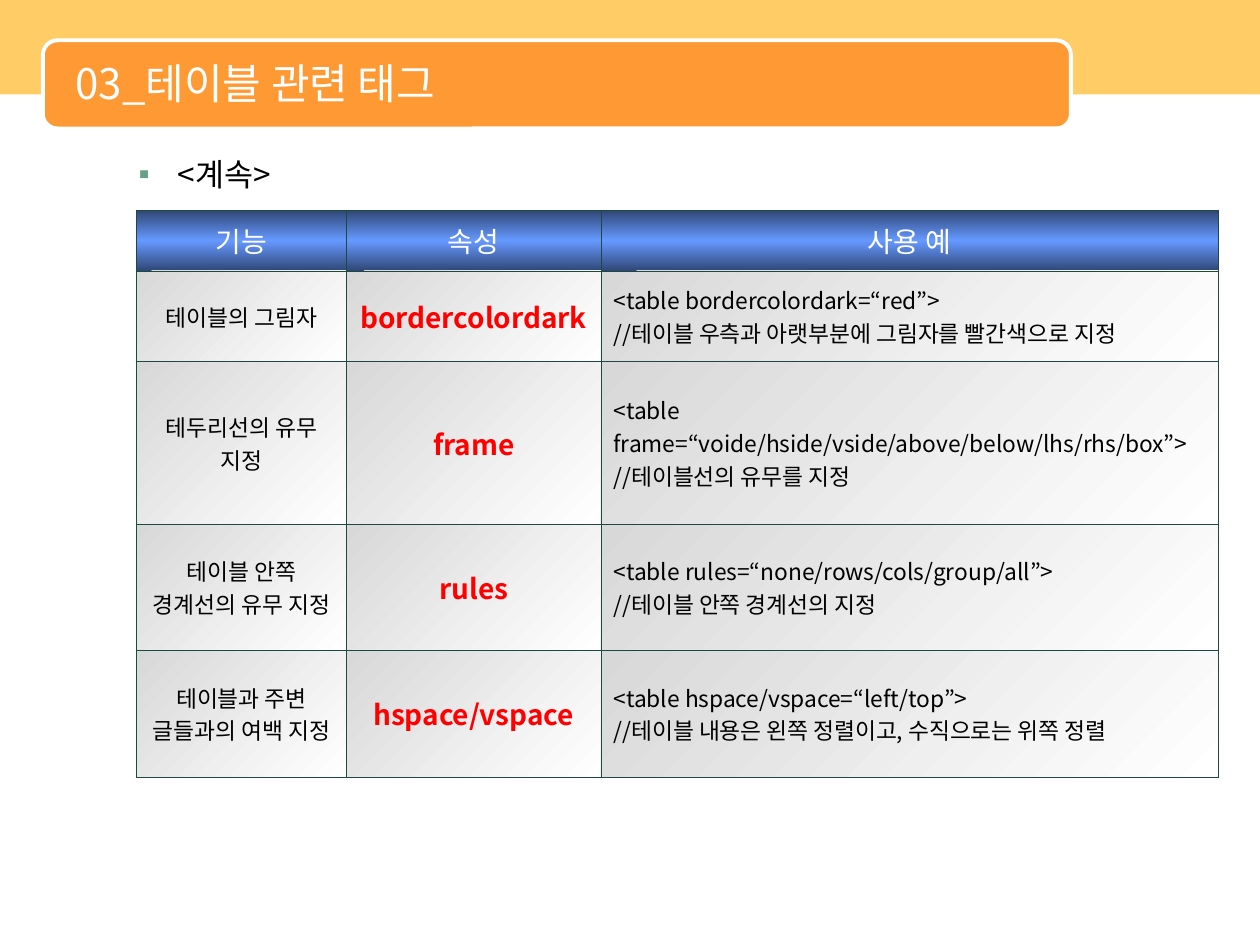
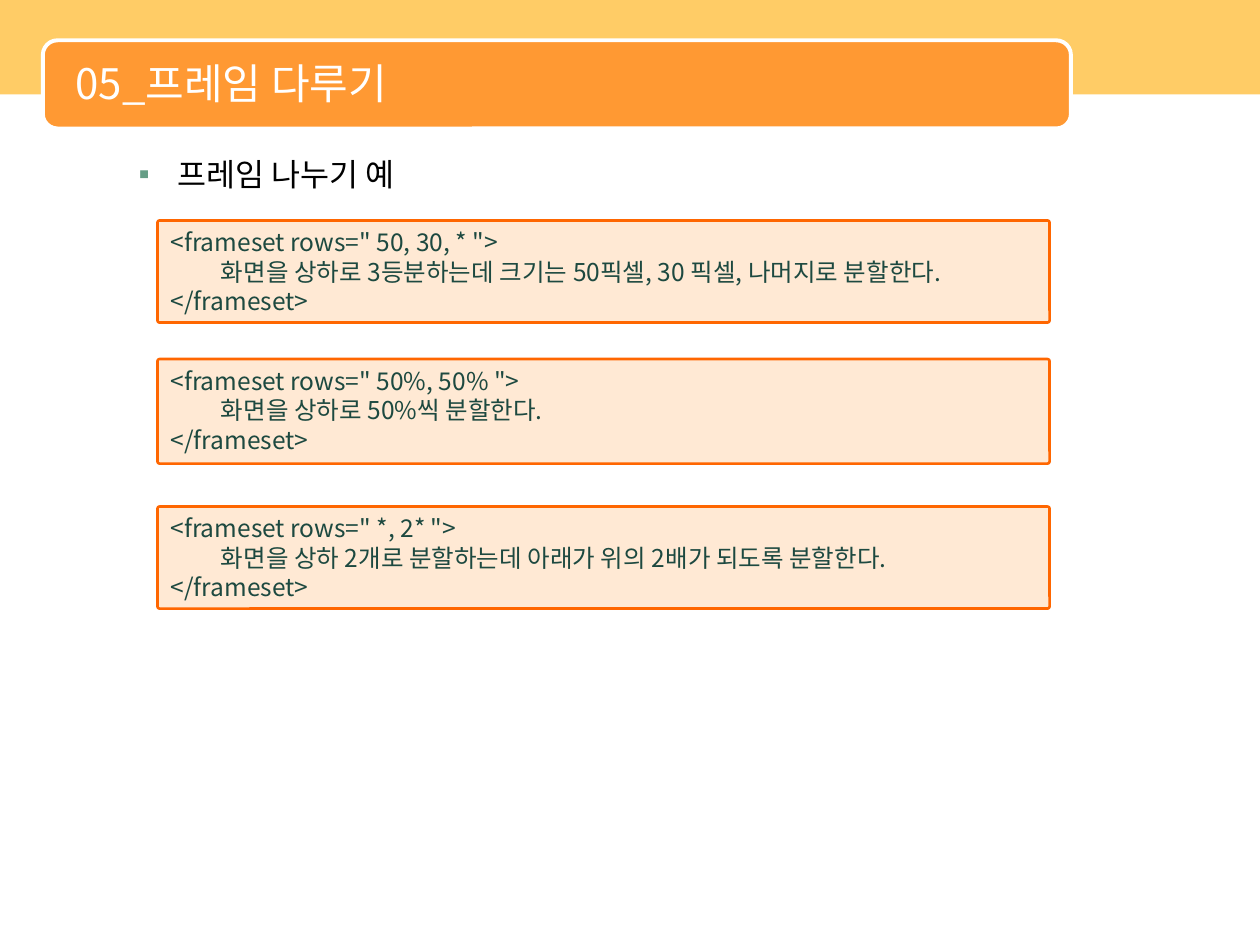
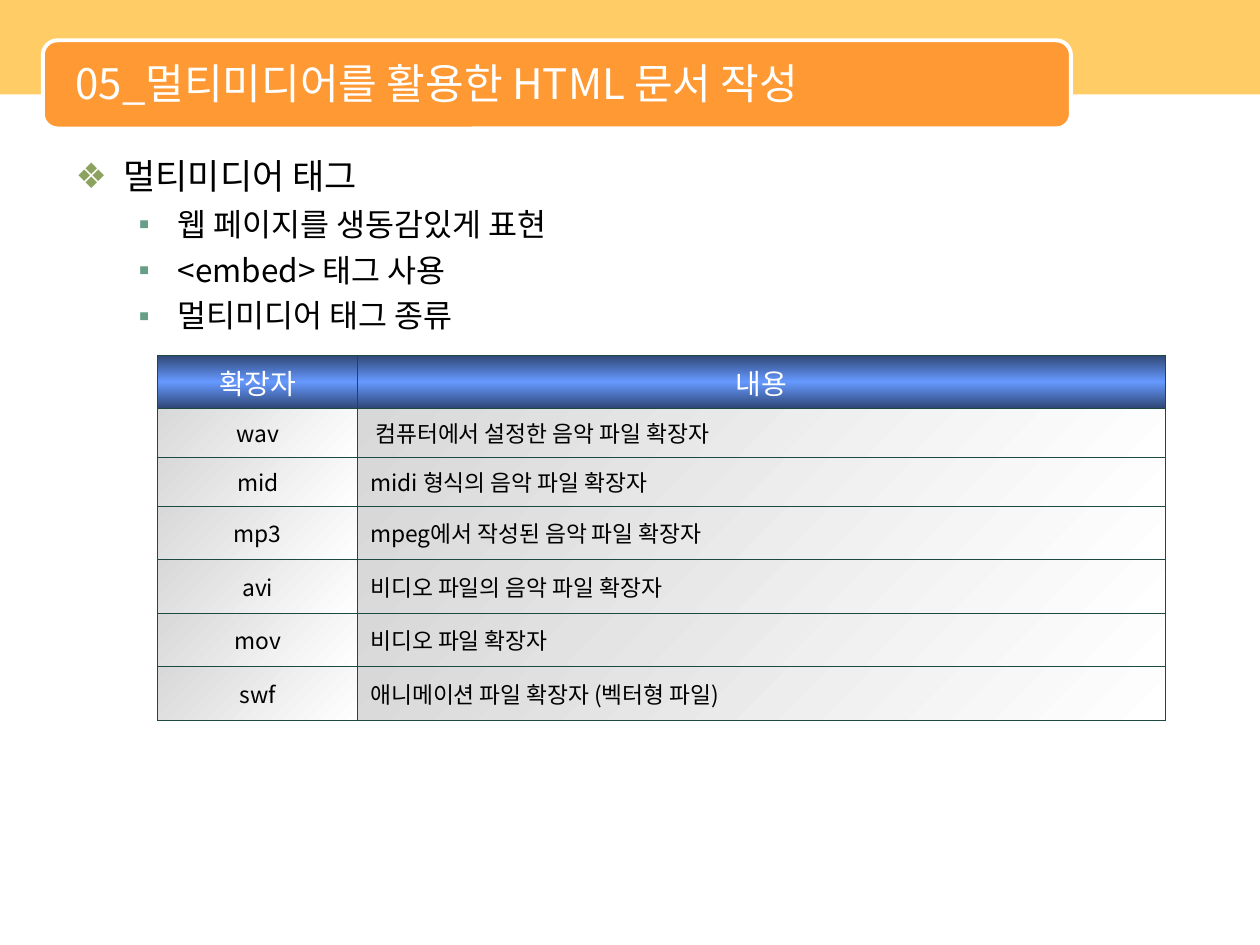
from pptx import Presentation
from pptx.dml.color import RGBColor
from pptx.enum.shapes import MSO_SHAPE
from pptx.enum.text import MSO_ANCHOR, MSO_AUTO_SIZE, PP_ALIGN
from pptx.oxml import parse_xml
from pptx.oxml.ns import nsdecls
from pptx.util import Inches, Pt

FONT = "Noto Sans CJK KR"
HUES = {
    "band": "FFCC66", "plate": "FF9933", "white": "FFFFFF", "black": "000000",
    "red": "FF0000", "ink": "1D4940", "gem": "8CA35F", "dot": "669E86",
    "navy": "2F4776", "blue": "6699FF", "gray": "D8D8D8",
    "peach": "FFCC99", "rim": "FF6600",
}
HEAD = [(0, "navy"), (50, "blue"), (100, "navy")]
BODY = [(0, "gray"), (100, "white")]
LEVELS = [(0.38, -0.38, "gem", "❖", 20, 5), (0.81, -0.31, "dot", "▪", 18, 4.5)]


def style(para, size, hue, bold=False):
    for run in para.runs:
        run.font.size = Pt(size)
        run.font.name = FONT
        run.font.bold = bold
        run.font.color.rgb = RGBColor.from_string(HUES[hue])


def grid(slide, left, top, cols, rows, data, red=None):
    frame = slide.shapes.add_table(
        len(rows), len(cols), Inches(left), Inches(top),
        Inches(sum(cols)), Inches(sum(rows)))
    table = frame.table
    for col, width in zip(table.columns, cols):
        col.width = Inches(width)
    for row, height in zip(table.rows, rows):
        row.height = Inches(height)
    for y, line in enumerate(data):
        for x, text in enumerate(line):
            cell = table.cell(y, x)
            cell.vertical_anchor = MSO_ANCHOR.MIDDLE
            para = cell.text_frame.paragraphs[0]
            para.text = text
            last = x == len(cols) - 1
            para.alignment = PP_ALIGN.LEFT if y and last else PP_ALIGN.CENTER
            if y == 0:
                style(para, 16, "white")
            elif x == red:
                style(para, 16, "red", True)
            else:
                style(para, 13, "black")
            props = cell._tc.get_or_add_tcPr()
            for side in "LRTB":
                props.append(parse_xml(
                    f'<a:ln{side} {nsdecls("a")} w="{Pt(0.45)}"><a:solidFill>'
                    f'<a:srgbClr val="{HUES["ink"]}"/></a:solidFill></a:ln{side}>'))
            stops = "".join(
                f'<a:gs pos="{pos * 1000}"><a:srgbClr val="{HUES[hue]}"/></a:gs>'
                for pos, hue in (BODY if y else HEAD))
            angle = 45 if y else 90
            props.append(parse_xml(
                f'<a:gradFill {nsdecls("a")}><a:gsLst>{stops}</a:gsLst>'
                f'<a:lin ang="{angle * 60000}" scaled="0"/></a:gradFill>'))
    return table


prs = Presentation()
prs.slide_width = Inches(10)
prs.slide_height = Inches(7.5)
layout = prs.slide_layouts[1]
spots = [(0.5, 0.35, 7.92, 0.62), (0.5, 1.18, 9, 5.82)]
for holder, spot in zip(layout.placeholders, spots):
    holder.left, holder.top, holder.width, holder.height = map(Inches, spot)
    holder.text_frame.auto_size = MSO_AUTO_SIZE.NONE

bars = [
    ("band", MSO_SHAPE.RECTANGLE, (0, 0, 10, 0.75)),
    ("plate", MSO_SHAPE.ROUNDED_RECTANGLE, (0.34, 0.32, 8.16, 0.7)),
]
topics = [
    ("03_테이블 관련 태그", [(1, "<계속>")]),
    ("05_프레임 다루기", [(1, "프레임 나누기 예")]),
    ("05_멀티미디어를 활용한 HTML 문서 작성", [
        (0, "멀티미디어 태그"),
        (1, "웹 페이지를 생동감있게 표현"),
        (1, "<embed> 태그 사용"),
        (1, "멀티미디어 태그 종류"),
    ]),
]
slides = []
for title, points in topics:
    slide = prs.slides.add_slide(layout)
    slides.append(slide)
    for i, (name, kind, spot) in enumerate(bars):
        bar = slide.shapes.add_shape(kind, *map(Inches, spot))
        bar.shadow.inherit = False
        bar.fill.solid()
        bar.fill.fore_color.rgb = RGBColor.from_string(HUES[name])
        if name == "plate":
            bar.line.color.rgb = RGBColor.from_string(HUES["white"])
            bar.line.width = Pt(2.25)
        else:
            bar.line.fill.background()
        slide.shapes.element.insert(2 + i, bar.element)
    frame = slide.shapes.title.text_frame
    frame.text = title
    frame.vertical_anchor = MSO_ANCHOR.MIDDLE
    frame.paragraphs[0].alignment = PP_ALIGN.LEFT
    style(frame.paragraphs[0], 24, "white")
    frame = slide.placeholders[1].text_frame
    frame.text = "\n".join(text for level, text in points)
    for i, (para, (level, text)) in enumerate(zip(frame.paragraphs, points)):
        margin, indent, hue, mark, size, gap = LEVELS[level]
        para.level = level
        props = para._p.get_or_add_pPr()
        props.set("marL", str(Inches(margin)))
        props.set("indent", str(Inches(indent)))
        props.append(parse_xml(
            f'<a:buClr {nsdecls("a")}><a:srgbClr val="{HUES[hue]}"/></a:buClr>'))
        props.append(parse_xml(f'<a:buChar {nsdecls("a")} char="{mark}"/>'))
        para.space_before = Pt(gap if i else 0)
        style(para, size, "black")

tags, frames, media = slides

grid(tags, 1.08, 1.67, [1.67, 2.02, 4.9], [0.48, 0.72, 1.29, 1, 1.01], [
    ("기능", "속성", "사용 예"),
    ("테이블의 그림자", "bordercolordark",
     "<table bordercolordark=“red”>\n//테이블 우측과 아랫부분에 그림자를 빨간색으로 지정"),
    ("테두리선의 유무 지정", "frame",
     "<table frame=“voide/hside/vside/above/below/lhs/rhs/box”>\n//테이블선의 유무를 지정"),
    ("테이블 안쪽 경계선의 유무 지정", "rules",
     "<table rules=“none/rows/cols/group/all”>\n//테이블 안쪽 경계선의 지정"),
    ("테이블과 주변 글들과의 여백 지정", "hspace/vspace",
     "<table hspace/vspace=“left/top”>\n//테이블 내용은 왼쪽 정렬이고, 수직으로는 위쪽 정렬"),
], red=1)

codes = [
    (1.75, 0.81, " 50, 30, * ", "화면을 상하로 3등분하는데 크기는 50픽셀, 30 픽셀, 나머지로 분할한다."),
    (2.85, 0.83, " 50%, 50% ", "화면을 상하로 50%씩 분할한다."),
    (4.02, 0.81, " *, 2* ", "화면을 상하 2개로 분할하는데 아래가 위의 2배가 되도록 분할한다."),
]
for top, height, rows, note in codes:
    box = frames.shapes.add_shape(
        MSO_SHAPE.ROUNDED_RECTANGLE, Inches(1.25), Inches(top), Inches(7.08), Inches(height))
    box.adjustments[0] = 0.02
    box.shadow.inherit = False
    box.fill.solid()
    box.fill.fore_color.rgb = RGBColor.from_string(HUES["peach"])
    box.element.spPr.xpath("./a:solidFill/a:srgbClr")[0].append(
        parse_xml(f'<a:alpha {nsdecls("a")} val="42000"/>'))
    box.line.color.rgb = RGBColor.from_string(HUES["rim"])
    box.line.width = Pt(1.5)
    frame = box.text_frame
    frame.word_wrap = True
    frame.vertical_anchor = MSO_ANCHOR.TOP
    frame.text = f'<frameset rows="{rows}">\n\t{note}\n</frameset>'
    for para in frame.paragraphs:
        para._p.get_or_add_pPr().append(parse_xml(
            f'<a:tabLst {nsdecls("a")}><a:tab pos="{Inches(0.4)}" algn="l"/></a:tabLst>'))
        para.alignment = PP_ALIGN.LEFT
        style(para, 14, "ink")

table = grid(media, 1.25, 2.82, [1.59, 6.41], [0.42, 0.39, 0.39] + [0.42, 0.43] * 2, [
    ("확장자", "내용"),
    ("wav", "컴퓨터에서 설정한 음악 파일 확장자"),
    ("mid", "midi 형식의 음악 파일 확장자"),
    ("mp3", "mpeg에서 작성된 음악 파일 확장자"),
    ("avi", "비디오 파일의 음악 파일 확장자"),
    ("mov", "비디오 파일 확장자"),
    ("swf", "애니메이션 파일 확장자 (벡터형 파일)"),
])
table.cell(1, 1).margin_left = Inches(0.14)

prs.save("out.pptx")
